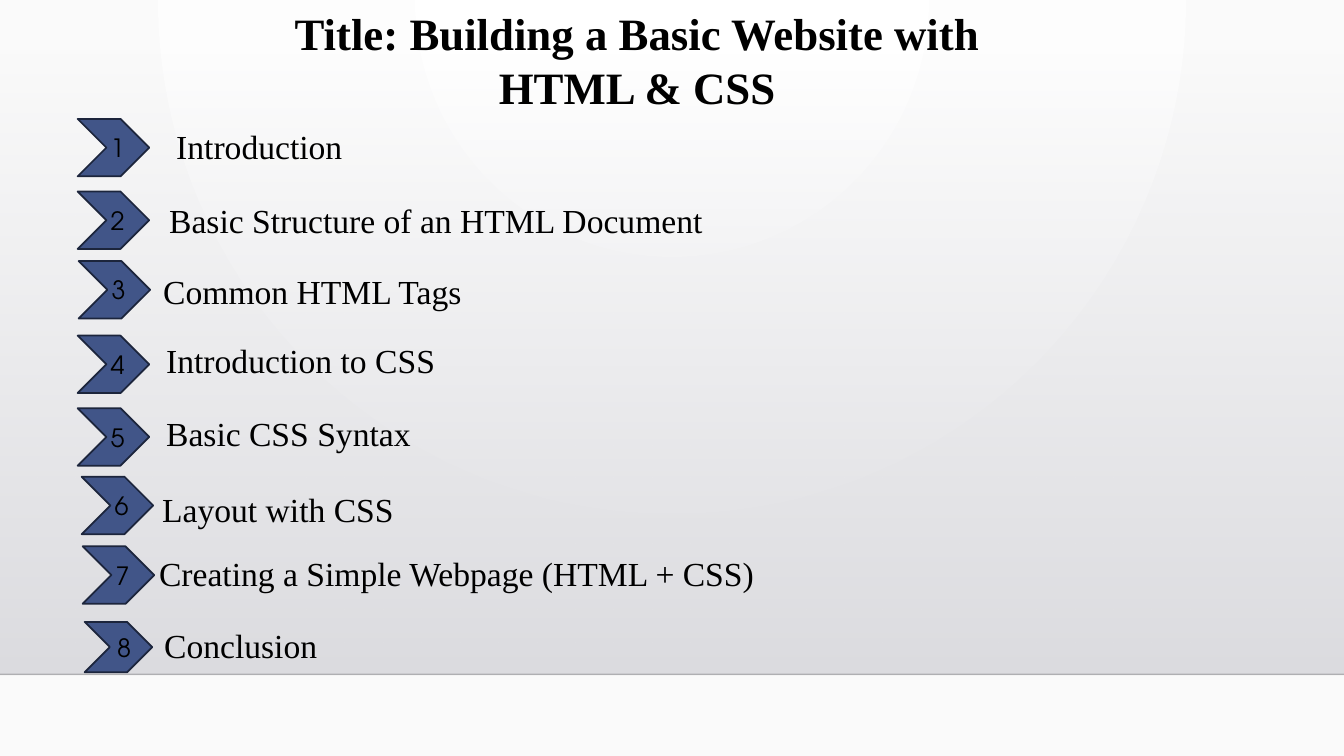
from lxml import etree
from pptx import Presentation
from pptx import util as u
from pptx.dml.color import RGBColor
from pptx.enum import shapes, text
from pptx.oxml import parse_xml
from pptx.oxml.ns import nsdecls, qn

TITLE = "Title: Building a Basic Website with HTML & CSS"
TITLE_AREA = (2.43, 0.01, 7.78, 1.18)
CHEVRON_SIZE = (0.71, 0.57)
LAST_CHEVRON_SIZE = (0.67, 0.5)
LABEL_HEIGHT = 0.5
TOPICS = [
    ("Introduction", (0.77, 1.18), CHEVRON_SIZE, (1.65, 1.2), 1.86),
    ("Basic Structure of an HTML Document", (0.77, 1.9), CHEVRON_SIZE, (1.58, 1.93), 5.54),
    ("Common HTML Tags", (0.78, 2.59), CHEVRON_SIZE, (1.52, 2.64), 3.19),
    ("Introduction to CSS", (0.77, 3.33), CHEVRON_SIZE, (1.55, 3.32), 2.89),
    ("Basic CSS Syntax", (0.77, 4.05), CHEVRON_SIZE, (1.55, 4.05), 3.43),
    ("Layout with CSS", (0.81, 4.73), CHEVRON_SIZE, (1.51, 4.8), 2.52),
    ("Creating a Simple Webpage (HTML + CSS)", (0.82, 5.42), CHEVRON_SIZE, (1.48, 5.44), 6.16),
    ("Conclusion", (0.84, 6.17), LAST_CHEVRON_SIZE, (1.53, 6.15), 1.8),
]

SLIDE_WIDTH, SLIDE_HEIGHT = 13.33, 7.5
PANEL_TOP, HORIZON = 0.51, 6.69
BLACK = RGBColor(0x00, 0x00, 0x00)
HORIZON_COLOR = RGBColor(0x00, 0x00, 0x01)
CHEVRON_FILL = RGBColor(0x41, 0x55, 0x88)
CHEVRON_LINE = RGBColor(0x1C, 0x25, 0x3C)
WHITE = RGBColor(0xFF, 0xFF, 0xFF)
OFF_WHITE = RGBColor(0xFA, 0xFA, 0xFA)
PANEL_START = RGBColor(0xDC, 0xDC, 0xE0)
PANEL_END = RGBColor(0xDE, 0xDE, 0xE2)

TITLE_FORMAT = {"name": "Times New Roman", "size": u.Pt(32), "bold": True}
LABEL_FORMAT = {"name": "Times New Roman", "size": u.Pt(24)}
NUMBER_FORMAT = {"name": "TeX Gyre Adventor", "size": u.Pt(18)}
RADIAL = '<a:path path="circle"><a:fillToRect l="43000" r="43000" b="100000"/></a:path>'
DOWNWARD = '<a:lin ang="5400000" scaled="0"/>'


def set_gradient(fill, root, start, end, start_alpha, direction):
    fill.gradient()
    old = root.find(".//" + qn("a:gradFill"))
    new = parse_xml(
        f'<a:gradFill {nsdecls("a")} rotWithShape="1"><a:gsLst>'
        f'<a:gs pos="0"><a:srgbClr val="{start}"><a:alpha val="{start_alpha * 1000}"/></a:srgbClr></a:gs>'
        f'<a:gs pos="100000"><a:srgbClr val="{end}"/></a:gs>'
        f'</a:gsLst>{direction}</a:gradFill>'
    )
    old.getparent().replace(old, new)


def write(shape, words, font_format, align, anchor):
    frame = shape.text_frame
    frame.word_wrap = True
    frame.vertical_anchor = anchor
    para = frame.paragraphs[0]
    para.alignment = align
    span = para.add_run()
    span.text = words
    for key, value in font_format.items():
        setattr(span.font, key, value)
    span.font.color.rgb = BLACK


def add_label(page, area, words, font_format, align):
    box = page.shapes.add_textbox(*map(u.Inches, area))
    write(box, words, font_format, align, text.MSO_ANCHOR.TOP)


def add_chevron(page, area, number):
    chevron = page.shapes.add_shape(shapes.MSO_SHAPE.CHEVRON, *map(u.Inches, area))
    chevron.shadow.inherit = False
    chevron.fill.solid()
    chevron.fill.fore_color.rgb = CHEVRON_FILL
    chevron.line.color.rgb = CHEVRON_LINE
    chevron.line.width = u.Pt(1.25)
    write(chevron, str(number), NUMBER_FORMAT, text.PP_ALIGN.CENTER, text.MSO_ANCHOR.MIDDLE)


def add_backdrop(page):
    background = page.background
    set_gradient(background.fill, page.element, WHITE, OFF_WHITE, 100, RADIAL)
    panel_area = (0, PANEL_TOP, SLIDE_WIDTH, HORIZON - PANEL_TOP)
    panel = page.shapes.add_shape(shapes.MSO_SHAPE.RECTANGLE, *map(u.Inches, panel_area))
    panel.shadow.inherit = False
    panel.line.fill.background()
    set_gradient(panel.fill, panel.element, PANEL_START, PANEL_END, 0, DOWNWARD)

    ends = (0, HORIZON, SLIDE_WIDTH, HORIZON)
    horizon = page.shapes.add_connector(shapes.MSO_CONNECTOR.STRAIGHT, *map(u.Inches, ends))
    horizon.line.color.rgb = HORIZON_COLOR
    horizon.line.width = u.Pt(1)
    color = horizon.element.spPr.find(".//" + qn("a:srgbClr"))
    etree.SubElement(color, qn("a:alpha")).set("val", "20000")
    etree.SubElement(horizon.element.spPr, qn("a:effectLst"))


def main():
    deck = Presentation()
    deck.slide_width = u.Inches(SLIDE_WIDTH)
    deck.slide_height = u.Inches(SLIDE_HEIGHT)
    page = deck.slides.add_slide(deck.slide_layouts[6])
    add_backdrop(page)
    add_label(page, TITLE_AREA, TITLE, TITLE_FORMAT, text.PP_ALIGN.CENTER)
    for number, (topic, chevron_corner, chevron_size, label_corner, width) in enumerate(TOPICS, 1):
        add_chevron(page, chevron_corner + chevron_size, number)
        add_label(page, label_corner + (width, LABEL_HEIGHT), topic, LABEL_FORMAT, text.PP_ALIGN.LEFT)
    deck.save("out.pptx")


if __name__ == "__main__":
    main()
